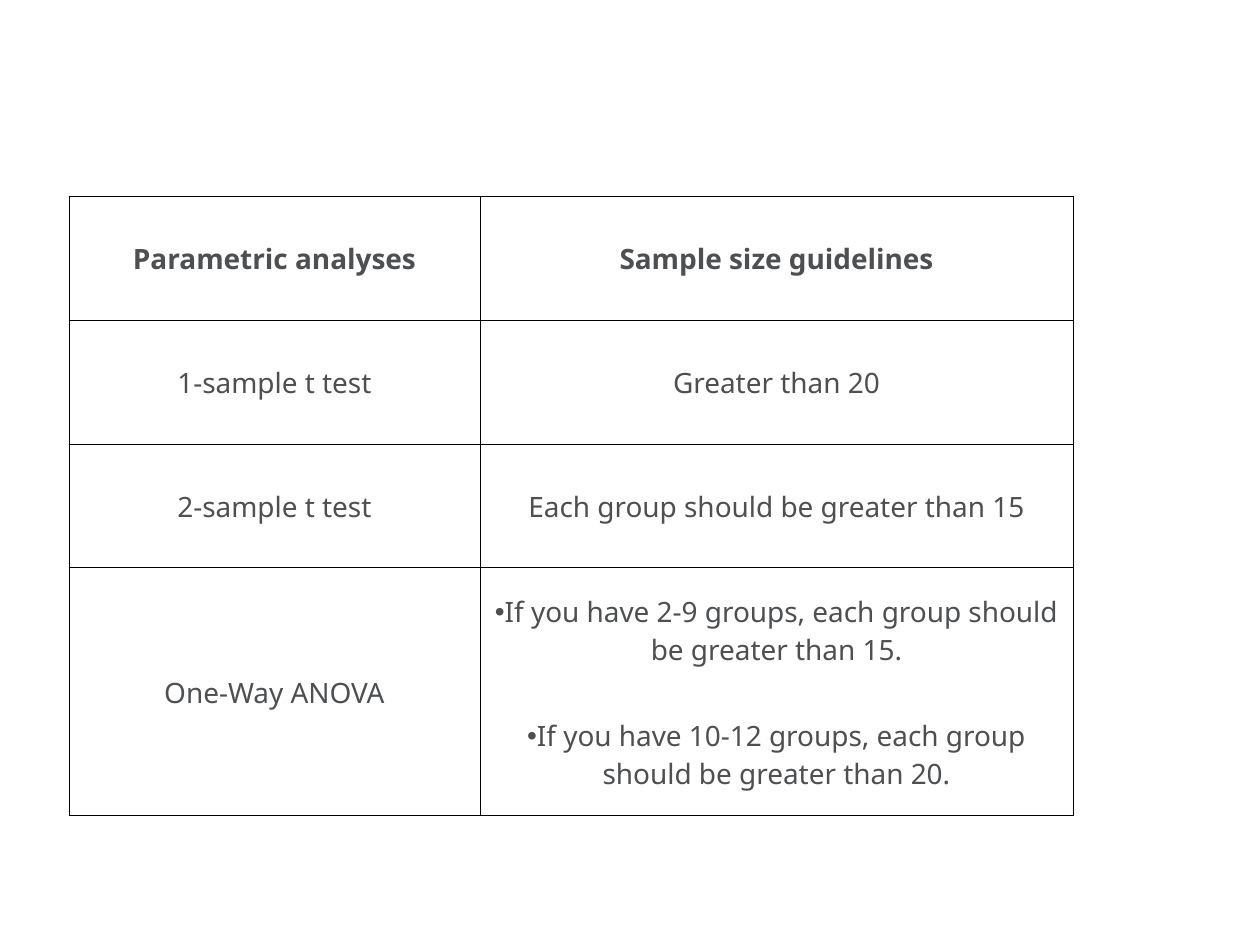
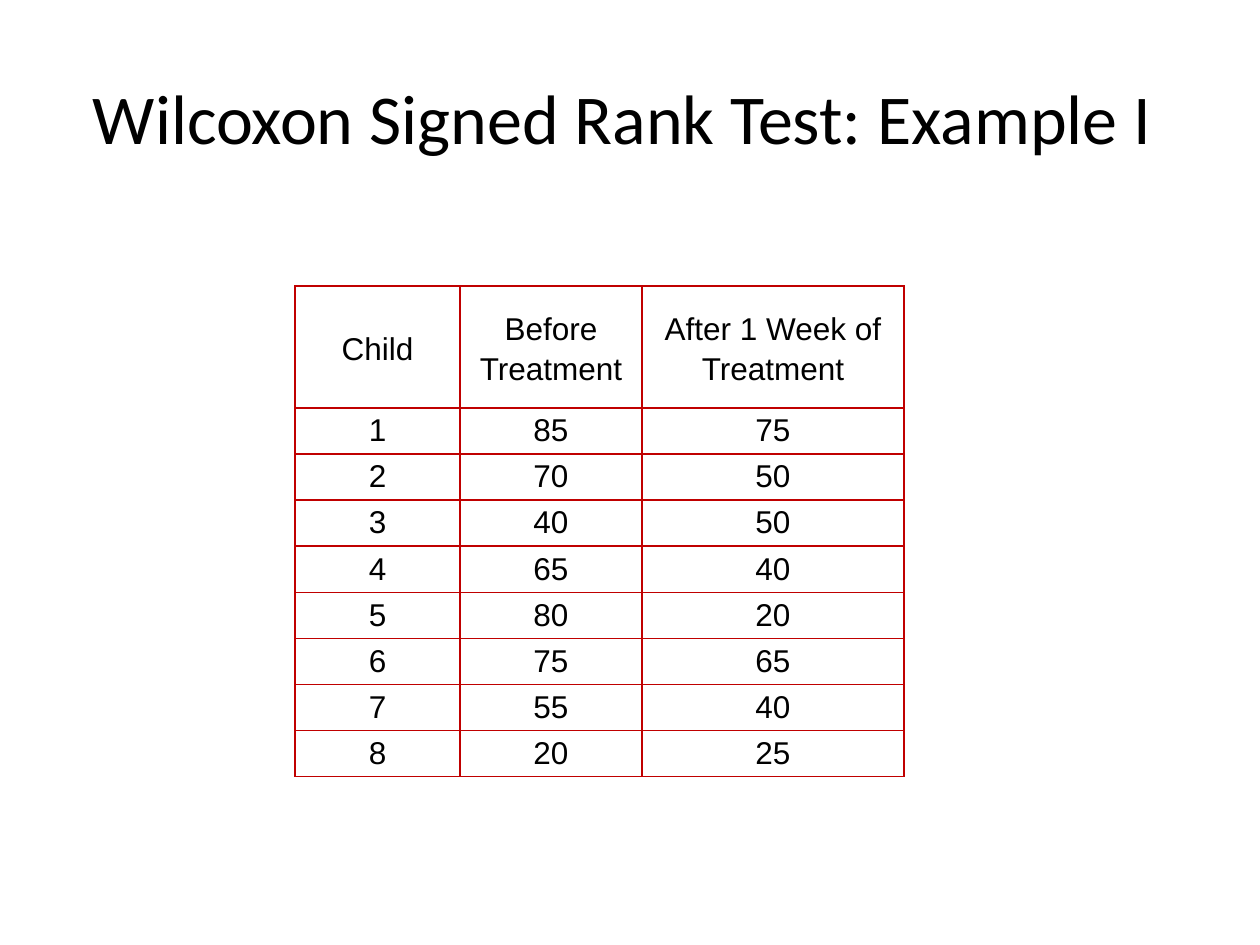
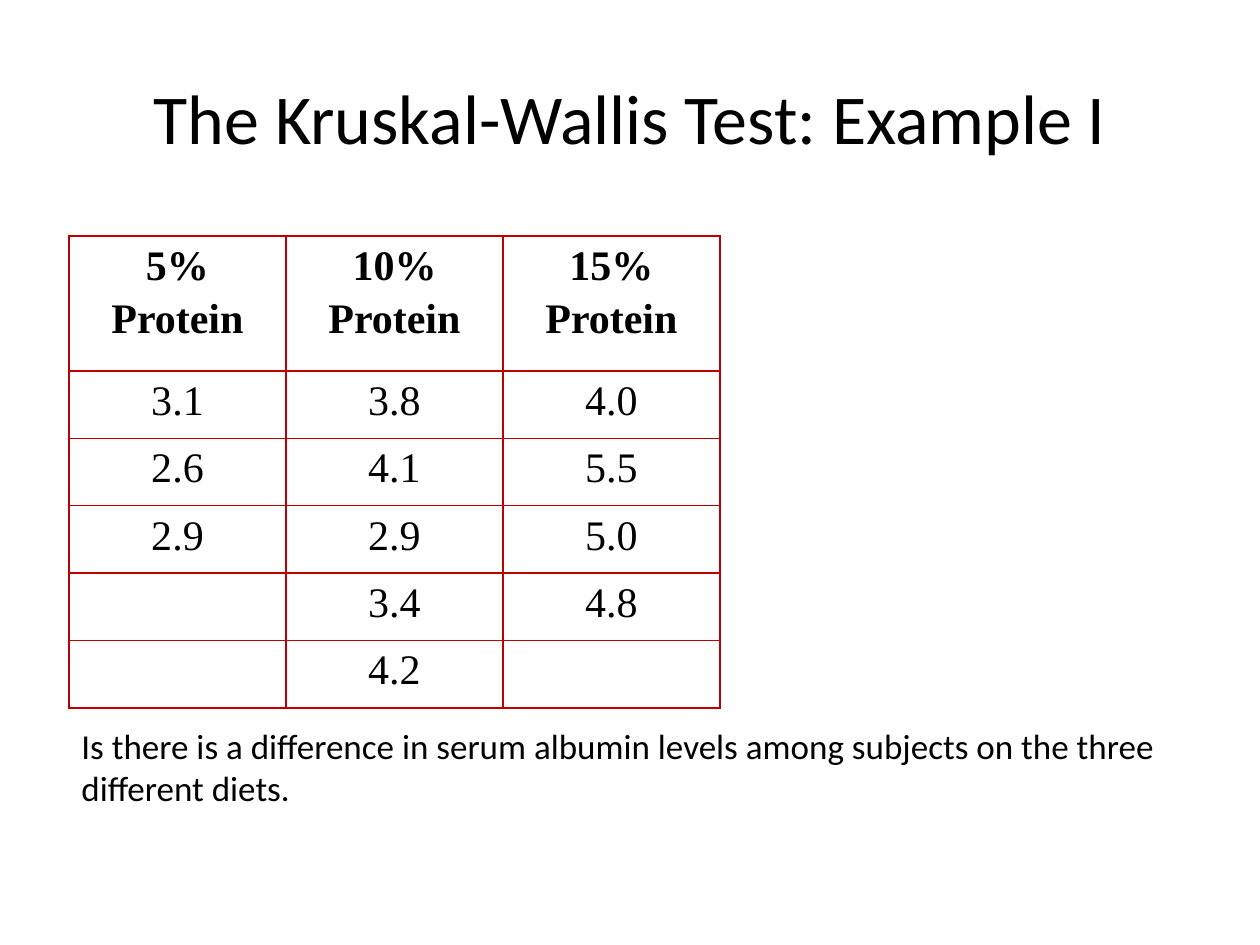
"""Builds three slides on choosing and applying statistical tests."""
from dataclasses import dataclass
from typing import Optional

from lxml import etree
from pptx import Presentation
from pptx import util as u
from pptx.dml.color import RGBColor
from pptx.enum import text
from pptx.oxml import ns

EMU_PER_PIXEL = 914400 / 126


@dataclass(frozen=True)
class Theme:
    """Colours, fonts and type sizes shared by the slides."""
    paper: str = "FFFFFF"
    ink: str = "000000"
    slate: str = "4D4F51"
    red: str = "C00000"
    text_font: str = "Calibri"
    title_size: int = 40
    note_size: int = 20


@dataclass(frozen=True)
class Type:
    """Typeface, size in points, and colour."""
    font: str
    size: float
    color: str
    bold: bool = False


@dataclass(frozen=True)
class GridStyle:
    """Look of a table; margins in inches, spacing in points."""
    type: Type
    line_color: str
    line_width: float
    margins: tuple[float, float, float, float]
    header_bold: bool = False
    header_anchor: text.MSO_ANCHOR = text.MSO_ANCHOR.TOP
    body_anchor: text.MSO_ANCHOR = text.MSO_ANCHOR.TOP
    line_spacing: Optional[float] = None
    spacing: float = 0


@dataclass(frozen=True)
class Grid:
    """Place and content of a table; lengths in pixels."""
    left: int
    top: int
    columns: tuple[int, ...]
    header_height: int
    body_height: int
    rows: tuple[tuple[str, ...], ...]
    style: GridStyle


THEME = Theme()
TITLE = Type(THEME.text_font, THEME.title_size, THEME.ink)
NOTE = Type(THEME.text_font, THEME.note_size, THEME.ink)

GUIDELINE_STYLE = GridStyle(
    Type("Noto Sans", 16, THEME.slate), THEME.ink, 0.5, (0.01, 0.01, 0.01, 0),
    header_bold=True, header_anchor=text.MSO_ANCHOR.MIDDLE,
    body_anchor=text.MSO_ANCHOR.MIDDLE)
TREATMENT_STYLE = GridStyle(
    Type("Arial", 18, THEME.ink), THEME.red, 1, (0.05, 0, 0.05, 0),
    header_anchor=text.MSO_ANCHOR.MIDDLE, line_spacing=1.15, spacing=4.8)
PROTEIN_STYLE = GridStyle(
    Type("Times New Roman", 24, THEME.ink), THEME.red, 1, (0.05, 0, 0.05, 0),
    header_bold=True, line_spacing=1.15, spacing=4.8)

GUIDELINES = Grid(69, 196, (411, 593), 124, 496, (
    ("Parametric analyses", "Sample size guidelines"),
    ("1-sample t test", "Greater than 20"),
    ("2-sample t test", "Each group should be greater than 15"),
    ("One-Way ANOVA",
     "If you have 2-9 groups, each group should be greater than 15."),
    ("", "If you have 10-12 groups, each group should be greater than 20."),
), GUIDELINE_STYLE)

TREATMENT = Grid(295, 286, (165, 182, 262), 122, 369, (
    ("Child", "Before Treatment", "After 1 Week of Treatment"),
    ("1", "85", "75"),
    ("2", "70", "50"),
    ("3", "40", "50"),
    ("4", "65", "40"),
    ("5", "80", "20"),
    ("6", "75", "65"),
    ("7", "55", "40"),
    ("8", "20", "25"),
), TREATMENT_STYLE)

PROTEIN = Grid(69, 236, (217, 217, 217), 135, 337, (
    ("5% Protein", "10% Protein", "15% Protein"),
    ("3.1", "3.8", "4.0"),
    ("2.6", "4.1", "5.5"),
    ("2.9", "2.9", "5.0"),
    ("", "3.4", "4.8"),
    ("", "4.2", ""),
), PROTEIN_STYLE)


def px(pixels: float) -> u.Emu:
    """Turn pixels into EMU."""
    return u.Emu(round(pixels * EMU_PER_PIXEL))


def format_runs(paragraph, kind: Type, bold: bool = False) -> None:
    """Give every run of a paragraph the same type."""
    for run in paragraph.runs:
        run.font.name = kind.font
        run.font.size = u.Pt(kind.size)
        run.font.bold = kind.bold or bold
        run.font.color.rgb = RGBColor.from_string(kind.color)


def set_border(cell, side: str, color: Optional[str], width: float) -> None:
    """Draw one side (L, R, T or B) of a cell, or hide it without a colour."""
    properties = cell._tc.get_or_add_tcPr()
    line = etree.SubElement(properties, ns.qn(f"a:ln{side}"),
                            w=str(u.Pt(width)))
    if color is None:
        etree.SubElement(line, ns.qn("a:noFill"))
    else:
        fill = etree.SubElement(line, ns.qn("a:solidFill"))
        etree.SubElement(fill, ns.qn("a:srgbClr"), val=color)


def add_bullet(paragraph) -> None:
    """Put a round bullet in front of a paragraph."""
    properties = paragraph._p.get_or_add_pPr()
    properties.set("marL", "0")
    properties.set("indent", "0")
    etree.SubElement(properties, ns.qn("a:buFont"), typeface="Arial")
    etree.SubElement(properties, ns.qn("a:buChar"), char="•")


def fill_cell(cell, words: str, style: GridStyle, header: bool,
              open_sides: str) -> None:
    """Write and format one table cell."""
    for side in "LRTB":
        color = None if side in open_sides else style.line_color
        set_border(cell, side, color, style.line_width)
    cell.fill.solid()
    cell.fill.fore_color.rgb = RGBColor.from_string(THEME.paper)
    (cell.margin_left, cell.margin_top,
     cell.margin_right, cell.margin_bottom) = map(u.Inches, style.margins)
    cell.vertical_anchor = style.header_anchor if header else style.body_anchor
    cell.text_frame.text = words
    if not words:
        return
    paragraph = cell.text_frame.paragraphs[0]
    paragraph.alignment = text.PP_ALIGN.CENTER
    if style.line_spacing:
        paragraph.line_spacing = style.line_spacing
        paragraph.space_before = paragraph.space_after = u.Pt(style.spacing)
    format_runs(paragraph, style.type, header and style.header_bold)


def add_grid(slide, grid: Grid,
             open_sides: Optional[dict[tuple[int, int], str]] = None):
    """Add a table; open_sides names the cell sides without a line."""
    table = slide.shapes.add_table(
        len(grid.rows), len(grid.columns), px(grid.left), px(grid.top),
        px(sum(grid.columns)), px(grid.header_height + grid.body_height)).table
    table.first_row = table.horz_banding = False
    for column, width in zip(table.columns, grid.columns):
        column.width = px(width)
    body_row_height = px(grid.body_height / (len(grid.rows) - 1))
    for r, words_in_row in enumerate(grid.rows):
        table.rows[r].height = px(grid.header_height) if r == 0 else body_row_height
        for c, words in enumerate(words_in_row):
            fill_cell(table.cell(r, c), words, grid.style, r == 0,
                      (open_sides or {}).get((r, c), ""))
    return table


def add_text(slide, words: str, kind: Type,
             box: tuple[int, int, int, int]):
    """Add a wrapping line of text and return its frame."""
    frame = slide.shapes.add_textbox(*map(px, box)).text_frame
    frame.word_wrap = True
    frame.text = words
    format_runs(frame.paragraphs[0], kind)
    return frame


def add_title(slide, words: str) -> None:
    """Add the centred slide title."""
    frame = add_text(slide, words, TITLE, (63, 38, 1134, 157))
    frame.vertical_anchor = text.MSO_ANCHOR.MIDDLE
    frame.paragraphs[0].alignment = text.PP_ALIGN.CENTER


def build_guidelines(slide) -> None:
    """Sample sizes for parametric analyses."""
    table = add_grid(slide, GUIDELINES, {(3, 1): "B", (4, 1): "T"})
    table.cell(3, 0).merge(table.cell(4, 0))
    for row in (3, 4):
        add_bullet(table.cell(row, 1).text_frame.paragraphs[0])


def build_wilcoxon(slide) -> None:
    """Scores before and after treatment."""
    add_grid(slide, TREATMENT)
    add_title(slide, "Wilcoxon Signed Rank Test: Example I\u00a0")


def build_kruskal_wallis(slide) -> None:
    """Albumin levels on three diets."""
    add_grid(slide, PROTEIN)
    question = add_text(
        slide, "Is there is a difference in serum albumin levels among "
        "subjects on the three different diets.\u00a0", NOTE,
        (69, 718, 1191, 97))
    question.auto_size = text.MSO_AUTO_SIZE.SHAPE_TO_FIT_TEXT
    add_title(slide, "The Kruskal-Wallis Test: Example I")


def main() -> None:
    """Build the presentation and save it."""
    deck = Presentation()
    deck.slide_width, deck.slide_height = px(1260), px(945)
    blank = deck.slide_layouts[6]
    for build in (build_guidelines, build_wilcoxon, build_kruskal_wallis):
        build(deck.slides.add_slide(blank))
    deck.save("out.pptx")


main()
